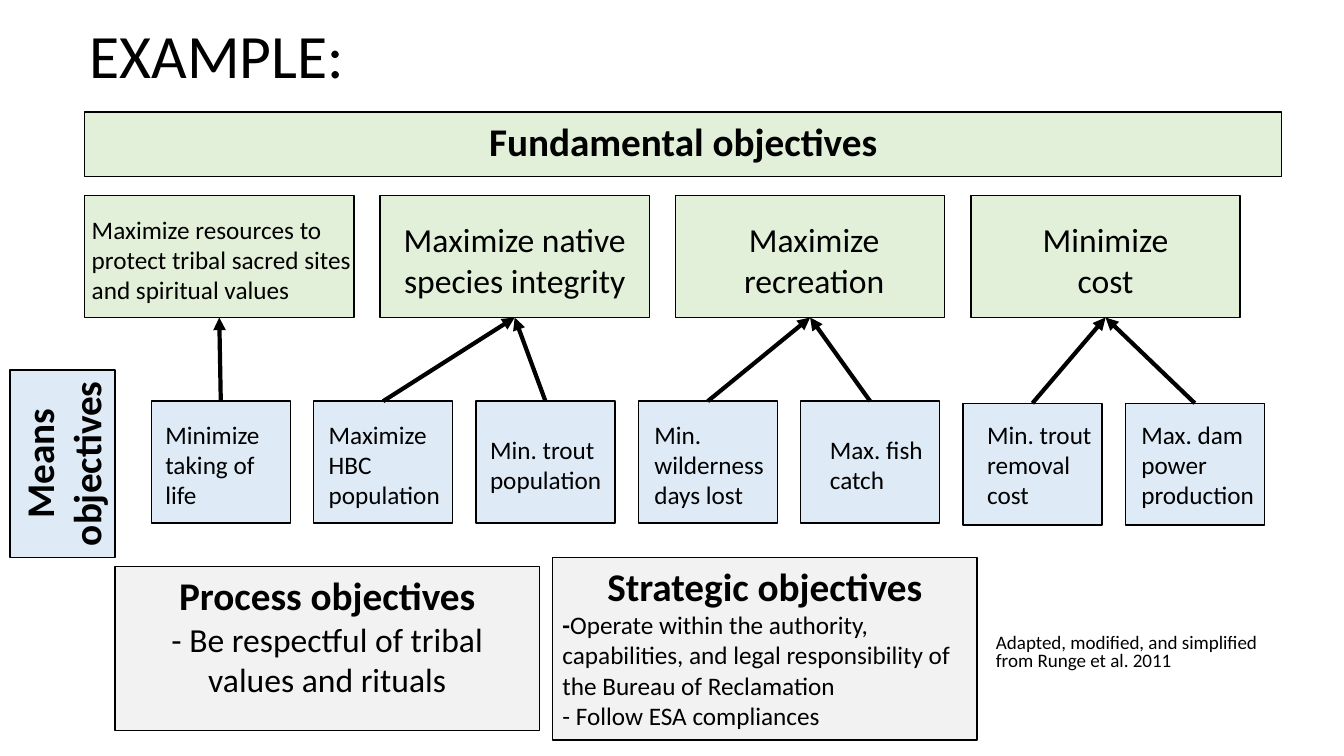
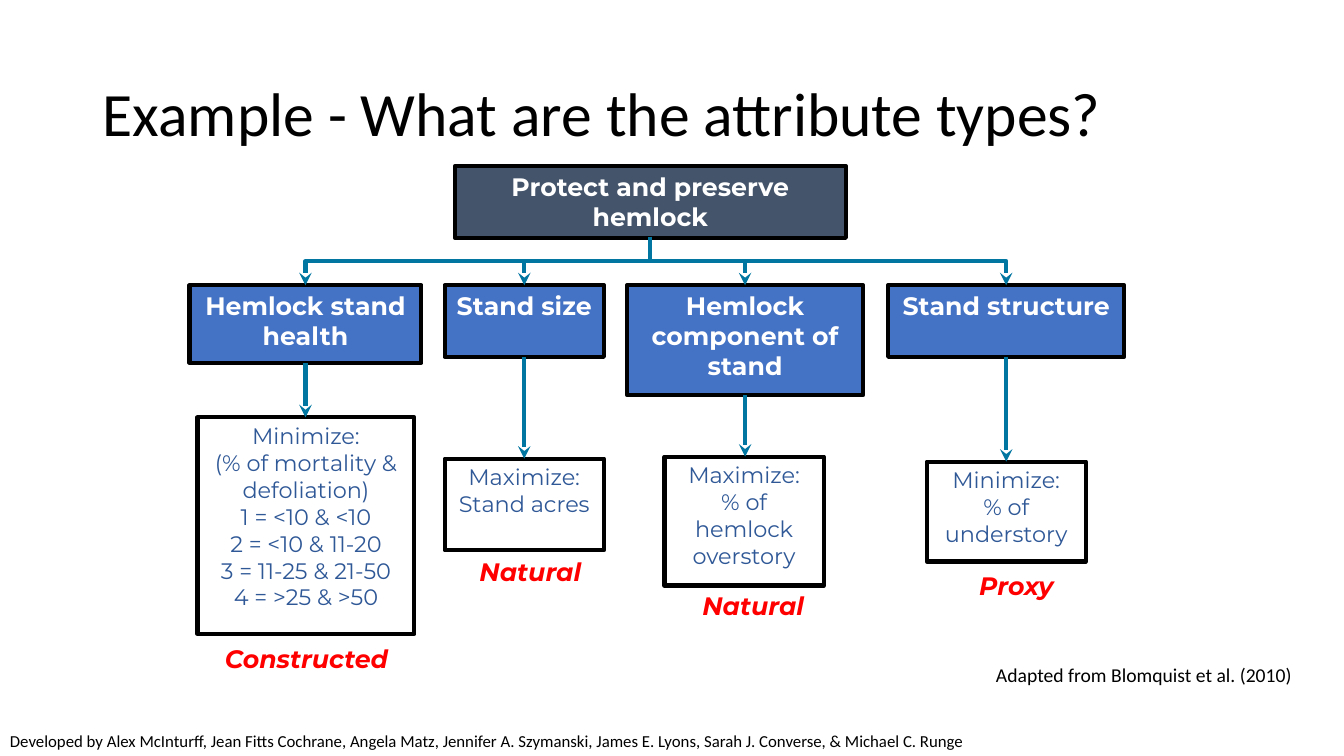
from dataclasses import dataclass

from lxml import etree
from pptx import Presentation, util as u
from pptx.dml.color import RGBColor
from pptx.enum import shapes, text
from pptx.oxml.ns import qn

PX = 9144  # 100 px to the inch
LEFT, CENTER = text.PP_ALIGN.LEFT, text.PP_ALIGN.CENTER
TOP, MIDDLE = text.MSO_ANCHOR.TOP, text.MSO_ANCHOR.MIDDLE


def style(size, color="000000", name="Calibri", **extra):
    return dict(size=u.Pt(size), color=color, name=name, **extra)


@dataclass(frozen=True)
class Theme:
    black = "000000"
    green = "E2F0D9"
    pale_blue = "DEEBF7"
    grey = "F2F2F2"
    slate = "44546A"
    blue = "4472C4"
    teal = "0076A1"
    title = style(44)
    heading = style(28, bold=True)
    large = style(24)
    body = style(18)
    body_bold = style(18, bold=True)
    source = style(13.6)
    citation = style(14)
    credit = style(12)
    objective = style(18, "FFFFFF", "Montserrat", bold=True)
    measure = style(16, "2F5897", "Montserrat")
    kind = style(18, "FF0000", "Montserrat", bold=True, italic=True)


T = Theme()


def px(*values):
    return [u.Emu(round(v * PX)) for v in values]


def put_text(shape, paras, align=CENTER, anchor=TOP, insets=(10, 5, 10, 5), **spacing):
    """Fill a shape; each paragraph is a list of (text, style) runs."""
    tf = shape.text_frame
    frame = dict(word_wrap=True, vertical_anchor=anchor)
    sides = ("margin_left", "margin_top", "margin_right", "margin_bottom")
    frame.update(zip(sides, px(*insets)))
    for key, value in frame.items():
        setattr(tf, key, value)
    for i, runs in enumerate(paras):
        p = tf.add_paragraph() if i else tf.paragraphs[0]
        p.alignment = align
        for key, value in spacing.items():
            setattr(p, key, value)
        for words, look in runs:
            r = p.add_run()
            r.text = words
            for key, value in look.items():
                if key == "color":
                    r.font.color.rgb = RGBColor.from_string(value)
                else:
                    setattr(r.font, key, value)
    return tf


def add_box(s, at, fill=None, weight=1, paras=(), **fmt):
    sp = s.shapes.add_shape(shapes.MSO_SHAPE.RECTANGLE, *px(*at))
    sp.shadow.inherit = False
    if fill:
        sp.fill.solid()
        sp.fill.fore_color.rgb = RGBColor.from_string(fill)
    else:
        sp.fill.background()
    sp.line.color.rgb = RGBColor.from_string(T.black)
    sp.line.width = u.Pt(weight)
    put_text(sp, paras, **fmt)
    return sp


def add_label(s, at, words, look, align=LEFT, **fmt):
    sp = s.shapes.add_textbox(*px(*at))
    put_text(sp, [[(words, look)]], align=align, **fmt)


def add_title(s, at, words):
    add_label(s, at, words, T.title, anchor=MIDDLE, line_spacing=0.9)


def add_arrow(s, start, end, color, head, kind=shapes.MSO_CONNECTOR.STRAIGHT):
    c = s.shapes.add_connector(kind, *px(*start, *end))
    c.line.color.rgb = RGBColor.from_string(color)
    c.line.width = u.Pt(3)
    etree.SubElement(c.line._get_or_add_ln(), qn("a:tailEnd"), type=head)
    etree.SubElement(c._element.spPr, qn("a:effectLst"))
    return c


def add_branch(s, start, end):
    """Elbow arrow that leaves downwards, runs across, then drops to its end."""
    (x1, y1), (x2, y2) = start, end
    drop, run = y2 - y1, abs(x2 - x1)
    left, top = (x1 + x2 - drop) / 2, (y1 + y2 - run) / 2
    c = add_arrow(s, (left, top), (left + drop, top + run), T.teal, "stealth",
                  shapes.MSO_CONNECTOR.ELBOW)
    xfrm = c._element.spPr.find(qn("a:xfrm"))
    xfrm.set("rot", str((90 if x2 < x1 else 270) * 60000))
    if x2 > x1:
        xfrm.set("flipH", "1")


def add_goal_tree(s):
    """Goals in a row, each fed by the means objectives below it."""
    goal_w, means_w, box_h, goal_y = 267, 138, 121, 194
    # goal, its style, alignment, side insets, top of its means, (means, left inset)
    goals = [
        ("Maximize resources to protect tribal sacred sites and spiritual values",
         T.body, LEFT, (7, 0), 398, [("Minimize taking of life", 14)]),
        ("Maximize native species integrity", T.large, CENTER, (15, 15), 398,
         [("Maximize HBC population", 15), ("Min. trout population", 14)]),
        ("Maximize recreation", T.large, CENTER, (18, 10), 398,
         [("Min. wilderness days lost", 16), ("Max. fish catch", 29)]),
        ("Minimize cost", T.large, CENTER, (45, 45), 400,
         [("Min. trout removal cost", 24), ("Max. dam power production", 16)]),
    ]
    means_x = 150
    for i, (goal, look, align, (left, right), means_y, means) in enumerate(goals):
        goal_x = 84 + 293 * i
        add_box(s, (goal_x, goal_y, goal_w, box_h), T.green, paras=[[(goal, look)]],
                align=align, anchor=MIDDLE, insets=(left, 11, right, 5))
        for words, inset in means:
            add_box(s, (means_x, means_y, means_w, box_h), T.pale_blue,
                    paras=[[(words, T.body)]], align=LEFT, anchor=MIDDLE,
                    insets=(inset, 5 + 2 * (400 - means_y), 6, 5))
            add_arrow(s, (means_x + means_w / 2, means_y),
                      (goal_x + goal_w / 2, goal_y + box_h), T.black, "triangle")
            means_x += 161


def build_objectives(s):
    add_title(s, (79, 12, 1150, 92), "EXAMPLE:")
    add_box(s, (84, 111, 1187, 64), T.green,
            paras=[[("Fundamental objectives", T.heading)]])
    add_goal_tree(s)
    side = add_box(s, (-31, 408, 186, 104), T.pale_blue,
                   paras=[[("Means objectives", T.heading)]])
    side.rotation = 270
    add_box(s, (114, 562, 421, 163), T.grey, paras=[
        [("Process objectives", T.heading)],
        [("- Be respectful of tribal values and rituals", T.large)]])
    strategic = add_box(s, (548, 553, 421, 181), T.grey, align=LEFT, paras=[
        [("Strategic objectives", T.heading)],
        [("-", T.body_bold),
         ("Operate within the authority, capabilities, and legal responsibility "
          "of the Bureau of Reclamation", T.body)],
        [("- Follow ESA compliances", T.body)]])
    strategic.text_frame.paragraphs[0].alignment = CENTER
    add_label(s, (978, 625, 293, 58),
              "Adapted, modified, and simplified from Runge et al. 2011",
              T.source, line_spacing=0.8)


def build_attributes(s):
    add_title(s, (92, 43, 1150, 145), "Example - What are the attribute types?")
    root, row_y = (645, 235), 283
    add_box(s, (451, 165, 388, 71), T.slate, 3,
            [[("Protect and preserve hemlock", T.objective)]])
    # objective, (x, w, h), measure lines, (x, y, w, h), attribute type, (centre, y)
    columns = [
        ("Hemlock stand health", (188, 230, 77),
         ["Minimize:", "(% of mortality & defoliation)", "1 = <10 & <10",
          "2 = <10 & 11-20", "3 = 11-25 & 21-50", "4 = >25 & >50"],
         (196, 414, 215, 215), "Constructed", (304, 633)),
        ("Stand size", (441, 158, 71), ["Maximize:", "Stand acres"],
         (441, 455, 158, 91), "Natural", (526, 547)),
        ("Hemlock component of stand", (622, 234, 109),
         ["Maximize:", "% of hemlock overstory"],
         (659, 453, 158, 128), "Natural", (747, 581)),
        ("Stand structure", (881, 234, 71), ["Minimize:", "% of understory"],
         (919, 458, 158, 99), "Proxy", (1008, 561)),
    ]
    for objective, (x, w, h), lines, measure_at, kind, (kind_x, kind_y) in columns:
        mid = x + w / 2
        add_box(s, (x, row_y, w, h), T.blue, 3, [[(objective, T.objective)]])
        add_box(s, measure_at, None, 3, [[(line, T.measure)] for line in lines])
        add_arrow(s, (mid, row_y + h), (mid, measure_at[1]), T.teal, "stealth")
        add_branch(s, root, (mid, row_y))
        add_label(s, (kind_x - 100, kind_y, 200, 40), kind, T.kind, CENTER)
    add_label(s, (978, 653, 364, 34), "Adapted from Blomquist et al. (2010)", T.citation)
    add_label(s, (0, 720, 975, 30),
              "Developed by Alex McInturff, Jean Fitts Cochrane, Angela Matz, "
              "Jennifer A. Szymanski, James E. Lyons, Sarah J. Converse, "
              "& Michael C. Runge", T.credit)


def main():
    prs = Presentation()
    prs.slide_width, prs.slide_height = px(1333, 750)
    for build in (build_objectives, build_attributes):
        build(prs.slides.add_slide(prs.slide_layouts[6]))
    prs.save("out.pptx")


if __name__ == "__main__":
    main()
